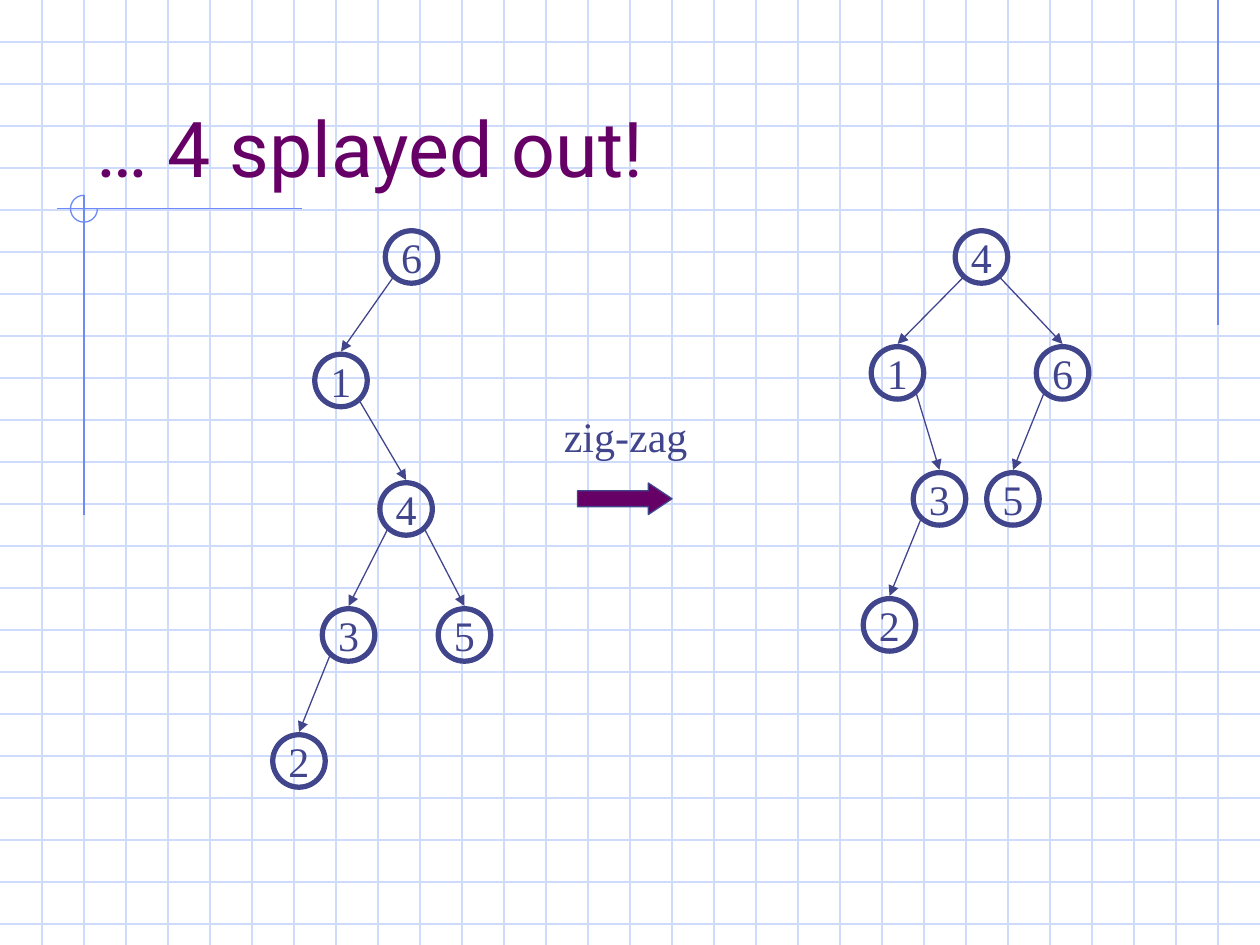
from dataclasses import dataclass

from lxml import etree
from pptx import Presentation, util as u
from pptx.dml.color import RGBColor
from pptx.enum import shapes, text
from pptx.oxml.ns import qn

# All lengths are in cells of the squared paper: 30 columns by 22.5 rows.
COLUMNS, ROWS = 30, 22.5
CELL = u.Inches(10) // COLUMNS
INK, PLUM, GRID, ACCENT = "40458C", "660066", "CFDBFD", "6F89F7"
BODY_FONT, TITLE_FONT = "Times New Roman", "Roboto"
THIN = 0.75
DIAMETER = 1.25


@dataclass(frozen=True)
class Node:
    key: str
    column: float
    row: float
    parent: str = ""


BEFORE = [
    Node("6", 9.8, 6.12),
    Node("1", 8.12, 9.06, "6"),
    Node("4", 9.67, 12.12, "1"),
    Node("3", 8.3, 15.12, "4"),
    Node("5", 11.06, 15.12, "4"),
    Node("2", 7.12, 18.12, "3"),
]
AFTER = [
    Node("4", 23.37, 6.12),
    Node("1", 21.37, 8.88, "4"),
    Node("6", 25.3, 8.88, "4"),
    Node("3", 22.37, 11.88, "1"),
    Node("5", 24.12, 11.88, "6"),
    Node("2", 21.18, 14.88, "3"),
]


def cells(*counts: float) -> list[u.Emu]:
    return [u.Emu(round(count * CELL)) for count in counts]


def color(hex_code: str) -> RGBColor:
    return RGBColor.from_string(hex_code)


def add_line(slide, start: tuple, end: tuple, ink: str, arrow: bool = False):
    line = slide.shapes.add_connector(
        shapes.MSO_CONNECTOR.STRAIGHT, *cells(*start, *end))
    line.line.color.rgb = color(ink)
    line.line.width = u.Pt(THIN)
    if arrow:
        etree.SubElement(line.line._get_or_add_ln(), qn("a:tailEnd"), type="triangle")
    etree.SubElement(line._element.spPr, qn("a:effectLst"))


def add_outline(slide, kind, box: tuple, ink: str, width: float = THIN, fill: str = ""):
    shape = slide.shapes.add_shape(kind, *cells(*box))
    shape.shadow.inherit = False
    shape.line.color.rgb = color(ink)
    shape.line.width = u.Pt(width)
    if fill:
        shape.fill.solid()
        shape.fill.fore_color.rgb = color(fill)
    else:
        shape.fill.background()
    return shape


def write(shape, words: str, *, size: float = 24, font: str = BODY_FONT, ink: str = INK,
          align=text.PP_ALIGN.LEFT, anchor=text.MSO_ANCHOR.TOP, wrap: bool = False):
    frame = shape.text_frame
    frame.auto_size = text.MSO_AUTO_SIZE.NONE
    frame.word_wrap = wrap
    frame.vertical_anchor = anchor
    paragraph = frame.paragraphs[0]
    paragraph.alignment = align
    run = paragraph.add_run()
    run.text = words
    run.font.size = u.Pt(size)
    run.font.name = font
    run.font.color.rgb = color(ink)


def draw_paper(slide):
    for row in range(1, int(ROWS) + 1):
        add_line(slide, (0, row), (COLUMNS, row), GRID)
    for column in range(1, COLUMNS):
        add_line(slide, (column, 0), (column, ROWS), GRID)
    add_line(slide, (29, 0), (29, 7.75), ACCENT)
    add_line(slide, (7.2, 4.97), (1.35, 4.97), ACCENT)
    add_line(slide, (2, 4.65), (2, 12.27), ACCENT)
    corner = add_outline(slide, shapes.MSO_SHAPE.ARC, (1.68, 4.65, 0.64, 0.64), ACCENT)
    # Three quarters of a turn, clockwise from the right; 0.6 units to a degree.
    corner.adjustments[0] = 0
    corner.adjustments[1] = 270 * 0.6


def draw_tree(slide, nodes: list[Node]):
    by_key = {node.key: node for node in nodes}
    for node in nodes:
        if node.parent:
            parent = by_key[node.parent]
            side = 0.45 if node.column > parent.column else -0.45
            add_line(slide, (parent.column + side, parent.row + 0.5),
                     (node.column, node.row - 0.69), INK, arrow=True)
        box = (node.column - DIAMETER / 2, node.row - DIAMETER / 2, DIAMETER, DIAMETER)
        circle = add_outline(slide, shapes.MSO_SHAPE.OVAL, box, INK, width=3)
        write(circle, node.key, align=text.PP_ALIGN.CENTER, anchor=text.MSO_ANCHOR.MIDDLE)


def place_title(slide, words: str):
    title = slide.shapes.title
    title.left, title.top, title.width, title.height = cells(2, 1, 25.5, 3.75)
    write(title, words, size=44, font=TITLE_FONT, ink=PLUM,
          anchor=text.MSO_ANCHOR.BOTTOM, wrap=True)
    # The title lies over the squared paper.
    slide.shapes._spTree.append(title._element)


def draw_step(slide, words: str):
    arrow = add_outline(slide, shapes.MSO_SHAPE.RIGHT_ARROW,
                        (13.75, 11.5, 2.25, 0.75), INK, fill=PLUM)
    arrow.adjustments[1] = 0.75
    label = slide.shapes.add_textbox(*cells(13.13, 9.63, 3.54, 1.5))
    write(label, words)


def main():
    deck = Presentation()
    deck.slide_width, deck.slide_height = cells(COLUMNS, ROWS)
    slide = deck.slides.add_slide(deck.slide_layouts[5])
    draw_paper(slide)
    place_title(slide, "… 4 splayed out!")
    draw_step(slide, "zig-zag")
    for tree in (BEFORE, AFTER):
        draw_tree(slide, tree)
    deck.save("out.pptx")


if __name__ == "__main__":
    main()
